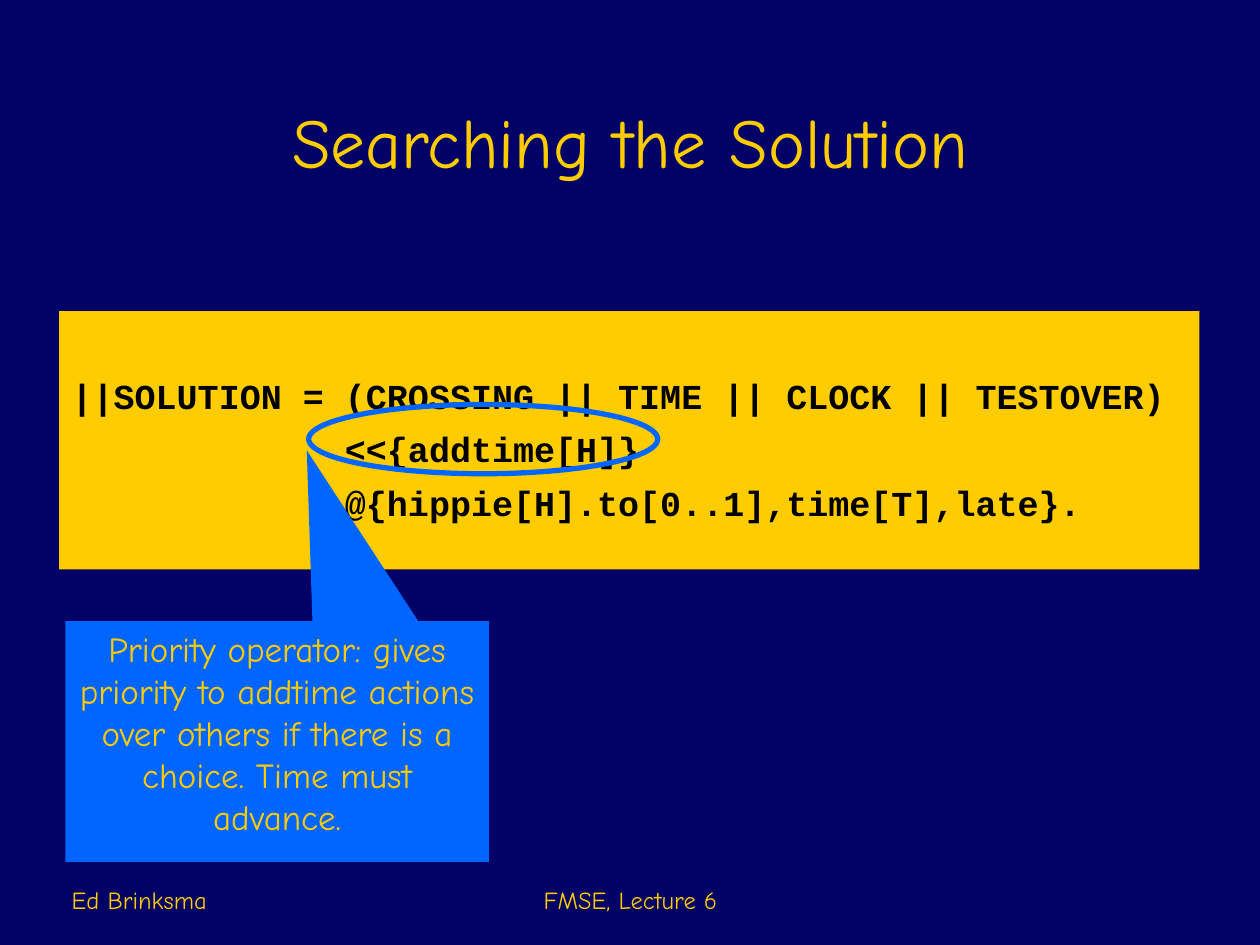
"""Build the slide on searching the solution with a priority operator."""
from pptx import Presentation
from pptx.dml.color import RGBColor
from pptx.enum.shapes import MSO_SHAPE as Kind
from pptx.enum.text import MSO_ANCHOR as Anchor, PP_ALIGN as Align
from pptx.util import Inches, Pt

TITLE = "Searching the Solution"
CODE = [
    "||SOLUTION = (CROSSING || TIME || CLOCK || TESTOVER)",
    "             <<{addtime[H]}",
    "             @{hippie[H].to[0..1],time[T],late}.",
]
NOTE = ("Priority operator: gives priority to addtime actions over others "
        "if there is a choice. Time must advance.")
FOOT = [
    ("Ed Brinksma", 0.47, 2.08, Align.LEFT),
    ("FMSE, Lecture 6", 3.42, 3.17, Align.CENTER),
]
NAVY, GOLD, BLUE, BLACK = "000066", "FFCC00", "0066FF", "000000"


def tint(code):
    return RGBColor.from_string(code)


def write(shape, lines, size=20, font="Comic Neue", color=GOLD, bold=False,
          align=Align.CENTER, anchor=Anchor.TOP, gap=0, top=0.05):
    frame = shape.text_frame
    frame.word_wrap = True
    frame.vertical_anchor = anchor
    frame.margin_left = frame.margin_right = Inches(0.1)
    frame.margin_top, frame.margin_bottom = Inches(top), Inches(0.05)
    for i, line in enumerate(lines):
        para = frame.add_paragraph() if i else frame.paragraphs[0]
        para.alignment = align
        para.space_before = Pt(gap if i else 0)
        run = para.add_run()
        run.text = line
        run.font.size, run.font.name, run.font.bold = Pt(size), font, bold
        run.font.color.rgb = tint(color)


def draw(slide, kind, box, fill=None, line=None):
    shape = slide.shapes.add_shape(kind, *map(Inches, box))
    shape.shadow.inherit = False
    if fill:
        shape.fill.solid()
        shape.fill.fore_color.rgb = tint(fill)
    else:
        shape.fill.background()
    if line:
        shape.line.color.rgb = tint(line)
        shape.line.width = Pt(3)
    else:
        shape.line.fill.background()
    return shape


def main():
    deck = Presentation()
    deck.slide_width, deck.slide_height = Inches(10), Inches(7.5)
    slide = deck.slides.add_slide(deck.slide_layouts[5])
    slide.background.fill.solid()
    slide.background.fill.fore_color.rgb = tint(NAVY)

    title = slide.shapes.title
    title.left, title.top = Inches(0.75), Inches(0.25)
    title.width, title.height = Inches(8.5), Inches(1.25)
    write(title, [TITLE], size=40, anchor=Anchor.BOTTOM)

    panel = draw(slide, Kind.RECTANGLE, (0.47, 2.47, 9.05, 2.05), GOLD)
    write(panel, CODE, font="Courier New", color=BLACK, bold=True,
          align=Align.LEFT, gap=6.5, top=0.5)

    note = draw(slide, Kind.RECTANGULAR_CALLOUT, (0.52, 4.93, 3.36, 1.91), BLUE)
    note.adjustments[0], note.adjustments[1] = 0.07, -1.21
    write(note, [NOTE])
    draw(slide, Kind.OVAL, (2.45, 3.21, 2.77, 0.55), line=BLUE)

    for text, left, width, align in FOOT:
        box = slide.shapes.add_textbox(*map(Inches, (left, 6.81, width, 0.5)))
        write(box, [text], size=14, align=align, anchor=Anchor.BOTTOM)

    deck.save("out.pptx")


if __name__ == "__main__":
    main()
